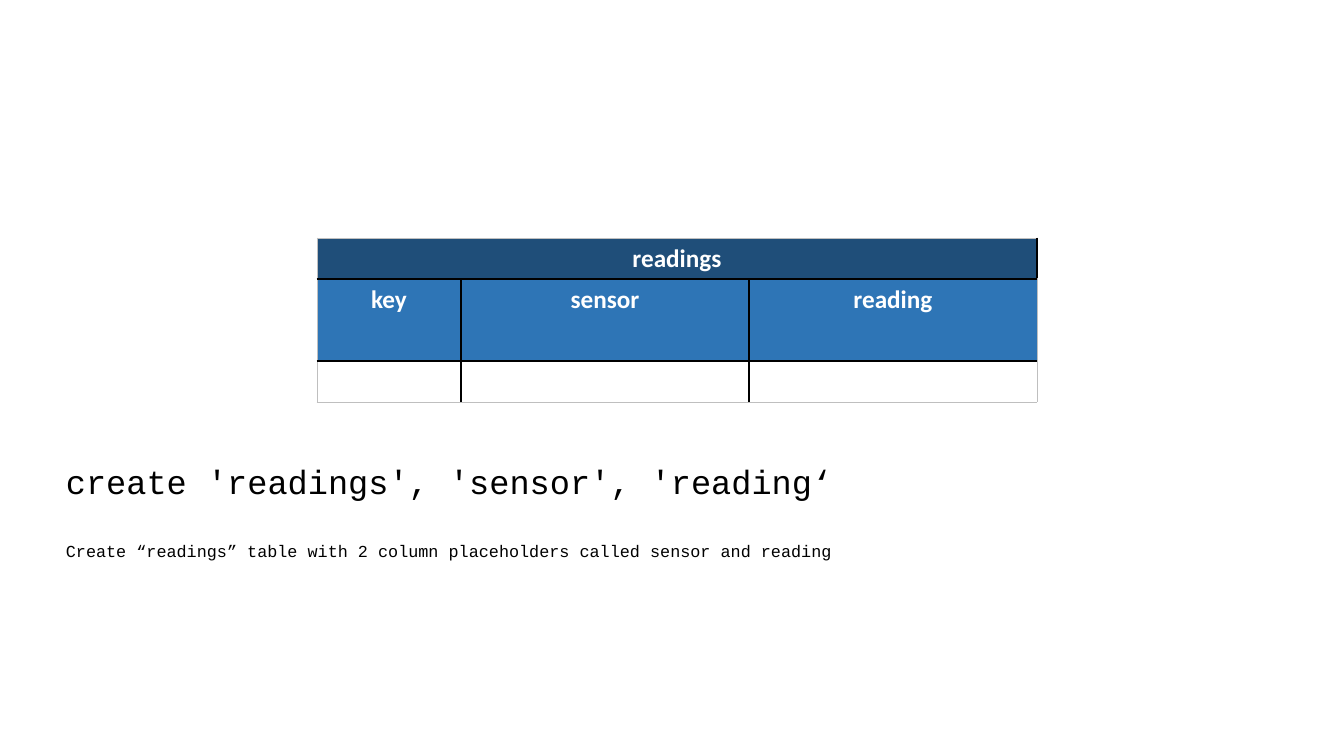
from lxml import etree
from pptx import Presentation
from pptx.dml.color import RGBColor
from pptx.enum.text import PP_ALIGN as Align
from pptx.oxml.ns import qn
from pptx.util import Pt

PX = 914400 / 100.8
BLACK, WHITE, GREY = "000000", "FFFFFF", "BFBFBF"
NAVY, BLUE = "1F4E79", "2E75B6"


def px(n):
    """Turn pixels into EMU."""
    return round(n * PX)


def rgb(value):
    """Turn a hex string into a colour."""
    return RGBColor.from_string(value)


def style(p, font, size, color, bold=False):
    """Set the font of a paragraph."""
    p.font.name, p.font.size, p.font.bold = font, Pt(size), bold
    p.font.color.rgb = rgb(color)


def border(cell, side, color, width):
    """Draw one side of a cell."""
    ln = etree.SubElement(cell._tc.get_or_add_tcPr(), qn(f"a:ln{side}"), w=str(Pt(width)))
    fill = etree.SubElement(ln, qn("a:solidFill"))
    etree.SubElement(fill, qn("a:srgbClr"), val=color)


def add_readings_table(s, x, y, w, h):
    """Place the table with its title, column heads and empty row."""
    rows = [("readings", "", ""), ("key", "sensor", "reading"), ("", "", "")]
    fills = [NAVY, BLUE, WHITE]
    table = s.shapes.add_table(3, 3, px(x), px(y), px(w), px(h)).table
    for column, share in zip(table.columns, (1, 2, 2)):
        column.width = px(w * share / 5)
    for row, share in zip(table.rows, (1, 2, 1)):
        row.height = px(h * share / 4)
    for i, texts in enumerate(rows):
        for j, text in enumerate(texts):
            cell = table.cell(i, j)
            outer = {"L": j == 0, "R": j == 2, "T": i == 0, "B": i == 2}
            for side, edge in outer.items():
                border(cell, side, GREY if edge else BLACK, 0.5 if edge else 1)
            cell.fill.solid()
            cell.fill.fore_color.rgb = rgb(fills[i])
            p = cell.text_frame.paragraphs[0]
            p.text, p.alignment = text, Align.CENTER
            style(p, "Calibri", 18, WHITE, True)
    table.cell(0, 0).merge(table.cell(0, 2))


def add_command(s, x, y, w, h):
    """Place the create command and its explanation."""
    tf = s.shapes.add_textbox(px(x), px(y), px(w), px(h)).text_frame
    tf.word_wrap = True
    p = tf.paragraphs[0]
    p.text = "create 'readings', 'sensor', 'reading‘"
    style(p, "Courier New", 24, BLACK)
    p = tf.add_paragraph()
    p.text = "Create “readings” table with 2 column placeholders called sensor and reading"
    p.space_before = Pt(28)
    style(p, "Courier New", 12, BLACK)


def main():
    """Build the slide and save it."""
    prs = Presentation()
    prs.slide_width, prs.slide_height = px(1344), px(756)
    s = prs.slides.add_slide(prs.slide_layouts[6])
    add_command(s, 56, 456, 1061, 112)
    add_readings_table(s, 317, 238, 720, 164)
    prs.save("out.pptx")


if __name__ == "__main__":
    main()
